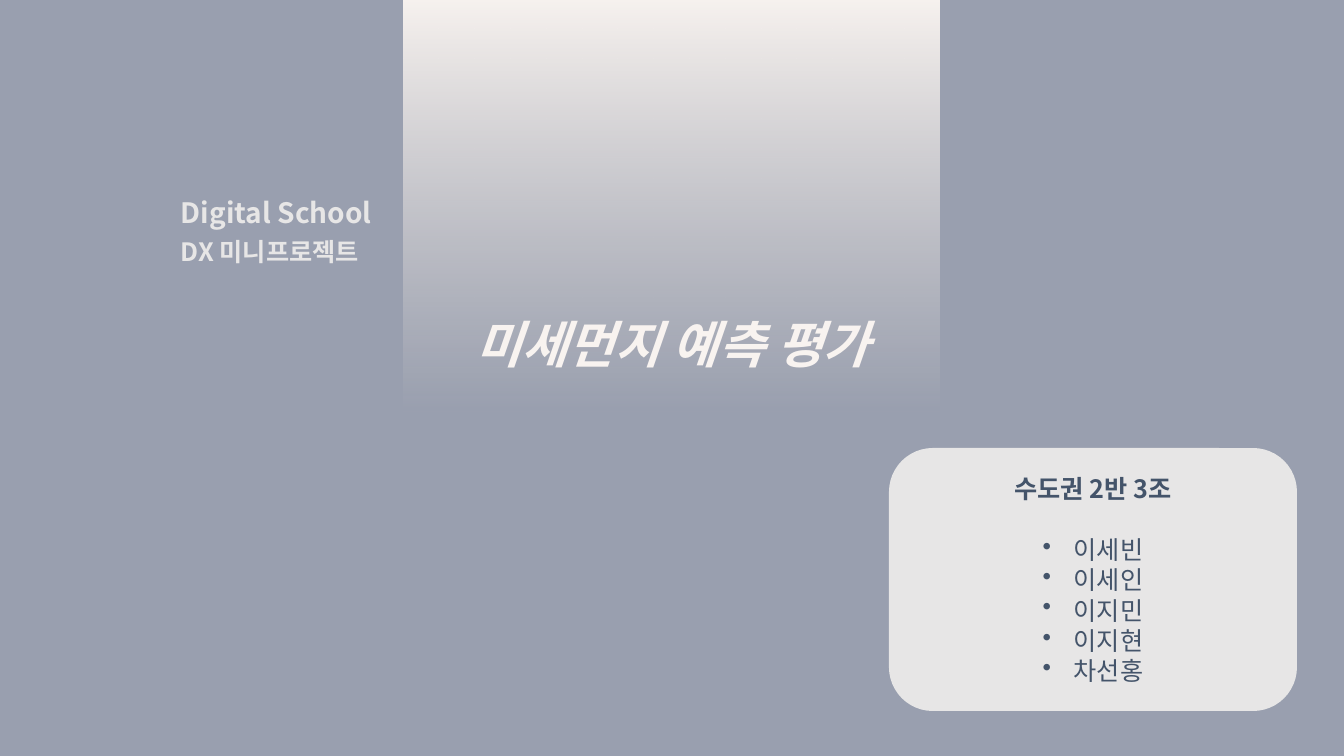
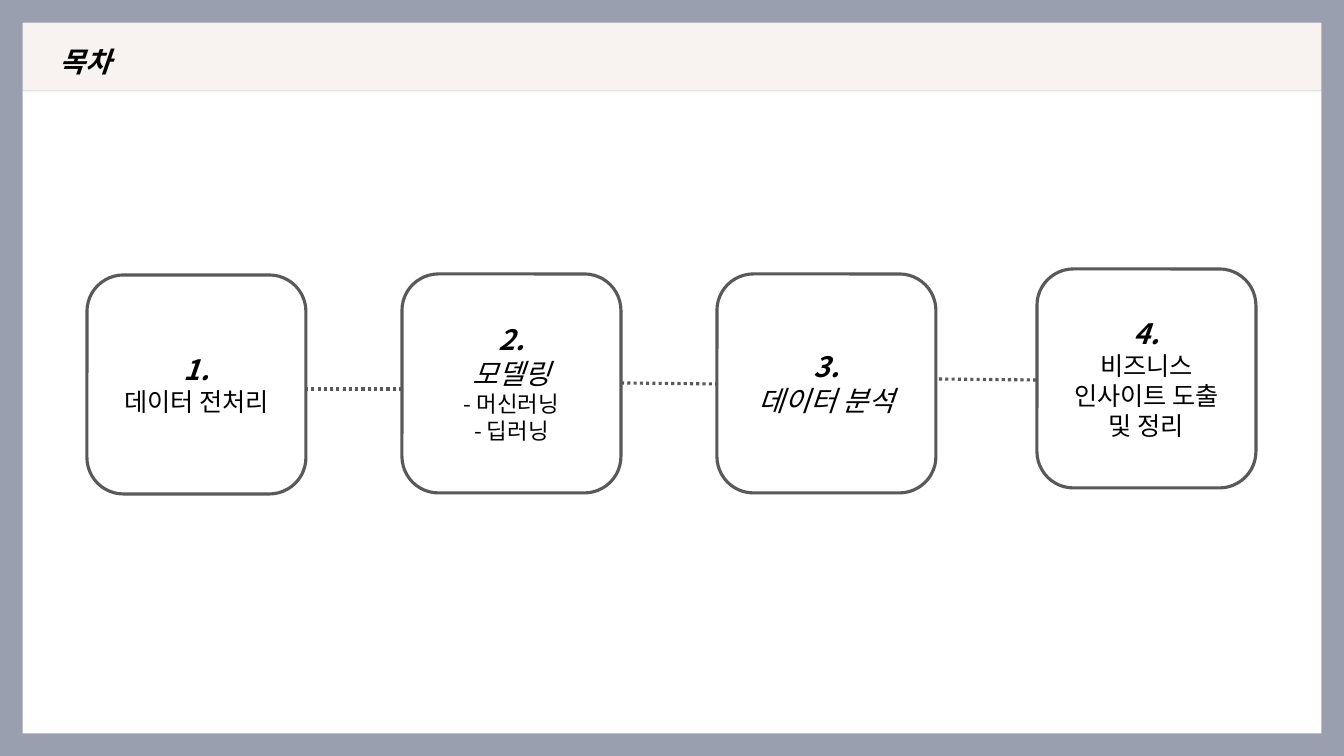
from lxml.etree import SubElement
from pptx import Presentation
from pptx.dml.color import RGBColor
from pptx.enum.dml import MSO_LINE
from pptx.enum.shapes import MSO_CONNECTOR, MSO_SHAPE
from pptx.enum.text import MSO_ANCHOR, PP_ALIGN
from pptx.oxml.ns import qn
from pptx.util import Emu, Pt

SLIDE_W, SLIDE_H = 1344, 756
PX = 12192000 / SLIDE_W

SLATE = RGBColor(0x99, 0x9F, 0xAF)
CREAM = RGBColor(0xF8, 0xF3, 0xF0)
SILVER = RGBColor(0xE7, 0xE6, 0xE6)
NAVY = RGBColor(0x44, 0x54, 0x6A)
GREY = RGBColor(0x59, 0x59, 0x59)
WHITE = RGBColor(0xFF, 0xFF, 0xFF)
BLACK = RGBColor(0, 0, 0)
FONT = "Noto Sans CJK KR"
LINE_WIDTH = Pt(2.25)
BULLET_INDENT = 31

# A text line is (text, size, bold, italic)
COVER_TITLE = ("미세먼지\u00a0예측 평가", 36, True, True)
COURSE_LINES = [
    ((171, 231, 302, 40), ("DX 미니프로젝트", 18, True, False)),
    ((171, 191, 302, 75), ("Digital School", 20, True, False)),
]
TEAM = ("수도권 2반 3조", 18, True, False)
MEMBERS = ["이세빈", "이세인", "이지민", "이지현", "차선홍"]

AGENDA_TITLE = ("목차", 20, True, True)
CARD_SIZE = 219
CARDS = [  # left, top, lines under the number
    (87, 275, [("데이터 전처리", 18, False, False)]),
    (402, 274, [("모델링", 20, False, True),
                ("- 머신러닝", 16, False, False),
                ("- 딥러닝", 16, False, False)]),
    (717, 274, [("데이터 분석", 20, False, True)]),
    (1037, 269, [("비즈니스", 18, False, False),
                 ("인사이트 도출", 18, False, False),
                 ("및 정리", 18, False, False)]),
]
LINKS = [(305, 389, 404, 389), (621, 383, 720, 384), (939, 379, 1038, 380)]


def px(length):
    return Emu(round(length * PX))


def add_page(deck, background):
    page = deck.slides.add_slide(deck.slide_layouts[6])
    page.background.fill.solid()
    page.background.fill.fore_color.rgb = background
    return page


def add_box(page, kind, place, fill, line=None, adjust=None):
    box = page.shapes.add_shape(kind, *map(px, place))
    box.shadow.inherit = False
    box.fill.solid()
    box.fill.fore_color.rgb = fill
    if line is None:
        box.line.fill.background()
    else:
        box.line.color.rgb = line
        box.line.width = LINE_WIDTH
    if adjust is not None:
        box.adjustments[0] = adjust
    return box


def add_band(page, place):
    """Square-cornered cream band with a thin shadow below it."""
    band = add_box(page, MSO_SHAPE.ROUNDED_RECTANGLE, place, CREAM, adjust=0)
    effects = band.element.spPr.find(qn("a:effectLst"))
    shadow = SubElement(effects, qn("a:outerShdw"), blurRad="0",
                        dist=str(Pt(1)), dir="5400000", algn="t", rotWithShape="0")
    color = SubElement(shadow, qn("a:srgbClr"), val=str(BLACK))
    SubElement(color, qn("a:alpha"), val="11000")
    return band


def fade_down(box, color):
    box.fill.gradient()
    box.fill.gradient_angle = 270
    for stop in box.fill.gradient_stops:
        stop.color.rgb = color
    last_color = list(box.element.spPr.find(qn("a:gradFill")).iter(qn("a:srgbClr")))[-1]
    SubElement(last_color, qn("a:alpha"), val="0")


def write(box, lines, color, align=PP_ALIGN.CENTER):
    """Fill the box with one paragraph per line and return the paragraphs."""
    frame = box.text_frame
    frame.word_wrap = True
    frame.text = "\n".join(line[0] for line in lines)
    for para, (_, size, bold, italic) in zip(frame.paragraphs, lines):
        para.alignment = align
        font = para.font
        font.size, font.bold, font.italic = Pt(size), bold, italic
        font.color.rgb = color
        font.name = FONT
        SubElement(font._element, qn("a:ea"), typeface=FONT)
    return frame.paragraphs


def add_text(page, place, line, color, align):
    box = page.shapes.add_textbox(*map(px, place))
    return write(box, [line], color, align)[0]


def indent(para, left, first=0, bullet=None):
    props = para._p.get_or_add_pPr()
    props.set("marL", str(px(left)))
    props.set("indent", str(px(first)))
    if bullet:
        mark = props.makeelement(qn("a:buChar"), {"char": bullet})
        props.find(qn("a:defRPr")).addprevious(mark)


def add_link(page, ends):
    link = page.shapes.add_connector(MSO_CONNECTOR.STRAIGHT, *map(px, ends))
    link.line.color.rgb = GREY
    link.line.width = LINE_WIDTH
    link.line.dash_style = MSO_LINE.ROUND_DOT
    SubElement(link.element.spPr, qn("a:effectLst"))


def build_cover(deck):
    page = add_page(deck, SLATE)
    fade_down(add_band(page, (404, 0, 536, 417)), CREAM)
    title = add_text(page, (391, 278, 562, 90), COVER_TITLE, CREAM, PP_ALIGN.CENTER)
    title.line_spacing = 1.5

    team_box = add_box(page, MSO_SHAPE.ROUNDED_RECTANGLE, (889, 448, 408, 263), SILVER)
    lines = [TEAM] + [(name, 18, False, False) for name in MEMBERS]
    heading, *members = write(team_box, lines, NAVY)
    heading.space_after = Pt(22)
    for member in members:
        indent(member, BULLET_INDENT, -BULLET_INDENT, "•")

    for place, line in COURSE_LINES:
        add_text(page, place, line, SILVER, PP_ALIGN.LEFT)


def build_agenda(deck):
    page = add_page(deck, WHITE)
    header = add_band(page, (0, 0, SLIDE_W, 90))
    title = write(header, [AGENDA_TITLE], BLACK, PP_ALIGN.LEFT)[0]
    title.line_spacing = 2.0
    indent(title, 50)
    add_box(page, MSO_SHAPE.FRAME, (0, 0, SLIDE_W, SLIDE_H), SLATE, adjust=0.03)

    for number, (left, top, lines) in enumerate(CARDS, 1):
        card = add_box(page, MSO_SHAPE.ROUNDED_RECTANGLE,
                       (left, top, CARD_SIZE, CARD_SIZE), WHITE, GREY)
        card.text_frame.vertical_anchor = MSO_ANCHOR.MIDDLE
        write(card, [(f"{number}.", 20, True, True)] + lines, BLACK)
    for ends in LINKS:
        add_link(page, ends)


def main():
    deck = Presentation()
    deck.slide_width, deck.slide_height = px(SLIDE_W), px(SLIDE_H)
    build_cover(deck)
    build_agenda(deck)
    deck.save("out.pptx")


if __name__ == "__main__":
    main()
